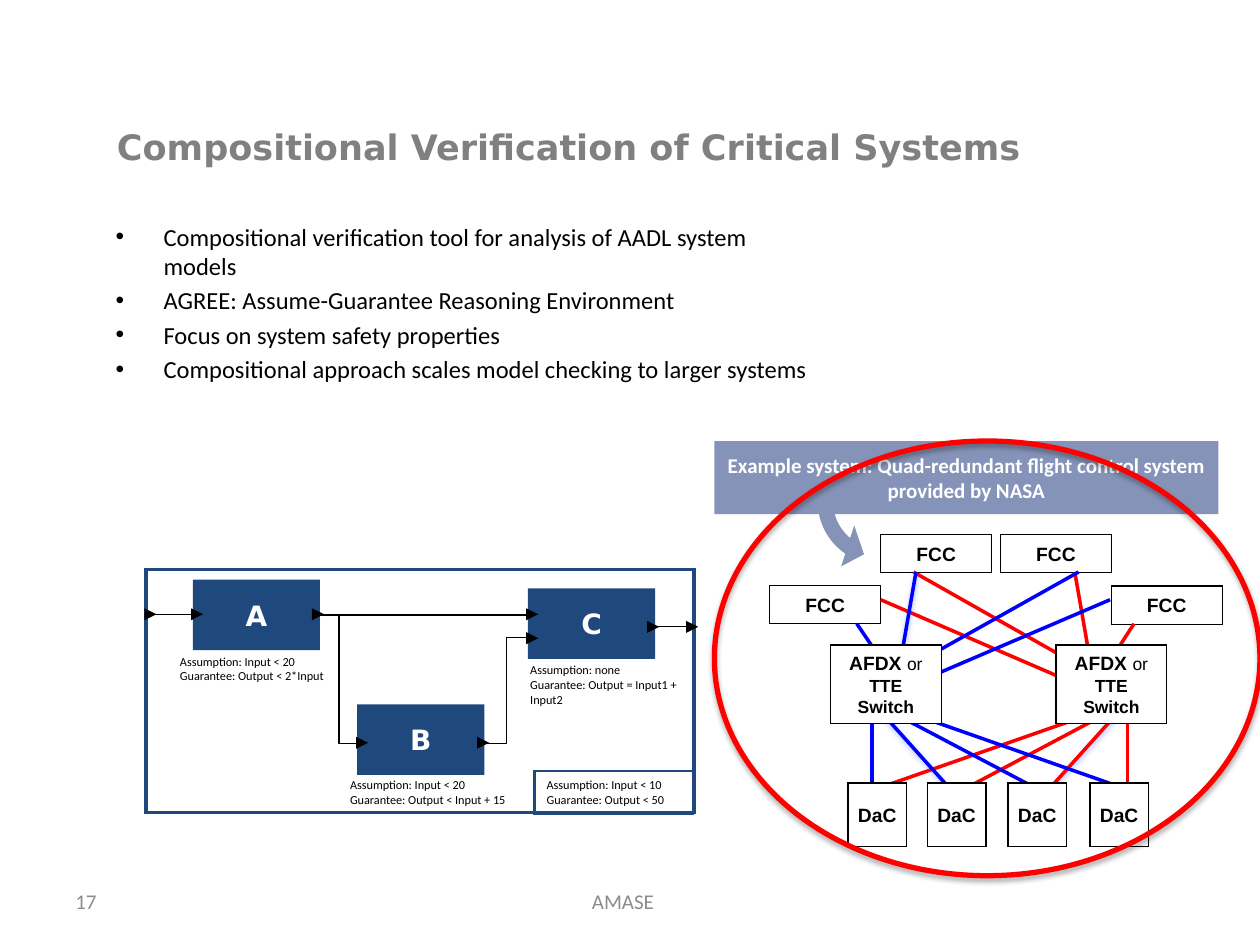
from lxml import etree
from pptx import Presentation
from pptx.dml.color import RGBColor
from pptx.enum.shapes import MSO_CONNECTOR, MSO_SHAPE
from pptx.enum.text import MSO_ANCHOR, PP_ALIGN
from pptx.oxml.ns import qn
from pptx.util import Inches, Pt

RECT, OVAL = MSO_SHAPE.RECTANGLE, MSO_SHAPE.OVAL
PORT, CURVE = MSO_SHAPE.ISOSCELES_TRIANGLE, MSO_SHAPE.CIRCULAR_ARROW
LINE, BENT = MSO_CONNECTOR.STRAIGHT, MSO_CONNECTOR.ELBOW
LEFT, MID = PP_ALIGN.LEFT, PP_ALIGN.CENTER
TOP, CENTER = MSO_ANCHOR.TOP, MSO_ANCHOR.MIDDLE
COLS, ROWS = 1000, 750
CELL = Inches(10) // COLS
NAVY, SLATE, GRAY = "1F497D", "8693B8", "8C8C8C"
RED, BLUE, BLACK, WHITE = "FF0000", "0000FF", "000000", "FFFFFF"
SANS, BODY, ARIAL = "DejaVu Sans", "Calibri", "Arial"


def color(code):
    return RGBColor.from_string(code)


def place(box, x, y, w, h):
    return [int(n * CELL) for n in (box[0] + x, box[1] + y, w, h)]


def write(shape, paras, size, font, tint, bold=False, align=LEFT, anchor=TOP, side=10):
    frame = shape.text_frame
    frame.word_wrap = True
    frame.vertical_anchor = anchor
    frame.margin_left = frame.margin_right = side * CELL
    frame.margin_top = frame.margin_bottom = 5 * CELL
    for i, runs in enumerate(paras):
        para = frame.paragraphs[0] if i == 0 else frame.add_paragraph()
        para.alignment = align
        for part in [(runs,)] if isinstance(runs, str) else runs:
            text, points, heavy = part if len(part) == 3 else (part[0], size, bold)
            run = para.add_run()
            run.text = text
            run.font.size, run.font.bold = Pt(points), heavy
            run.font.name = font
            run.font.color.rgb = color(tint)
    return frame


def label(slide, box, paras, size=7, font=BODY, tint=BLACK, **style):
    shape = slide.shapes.add_textbox(*place(box, 0, 0, *box[2:]))
    return write(shape, paras, size, font, tint, **style)


def draw(slide, kind, spot, fill=None, edge=None, width=0.75):
    shape = slide.shapes.add_shape(kind, *spot)
    shape.shadow.inherit = False
    if fill:
        shape.fill.solid()
        shape.fill.fore_color.rgb = color(fill)
    else:
        shape.fill.background()
    if edge:
        shape.line.color.rgb = color(edge)
        shape.line.width = Pt(width)
        stroke = shape._element.spPr.find(qn("a:ln"))
        etree.SubElement(stroke, qn("a:miter"), lim="800000")
    else:
        shape.line.fill.background()
    return shape


def shade(props, tint, alpha, blur, dist):
    effect = props.find(qn("a:effectLst"))
    glow = etree.SubElement(effect, qn("a:outerShdw"), blurRad=str(Pt(blur)),
                            dist=str(Pt(dist)), dir="5400000", rotWithShape="0")
    hue = etree.SubElement(glow, qn("a:srgbClr"), val=tint)
    etree.SubElement(hue, qn("a:alpha"), val=str(alpha * 1000))


def link(slide, box, ends, tint=BLACK, width=0.75, kind=LINE, soft=False):
    start, stop = place(box, *ends[:2], 0, 0)[:2], place(box, *ends[2:], 0, 0)[:2]
    line = slide.shapes.add_connector(kind, *start, *stop)
    line.line.color.rgb = color(tint)
    line.line.width = Pt(width)
    props = line._element.spPr
    etree.SubElement(props, qn("a:effectLst"))
    if soft:
        shade(props, "3366FF", 38, 3.1, 1.6)


def points(slide, box):
    items = ["Compositional verification tool for analysis of AADL system models",
             "AGREE: Assume-Guarantee Reasoning Environment",
             "Focus on system safety properties",
             "Compositional approach scales model checking to larger systems"]
    frame = label(slide, box, items, 14)
    for i, para in enumerate(frame.paragraphs):
        props = para._p.get_or_add_pPr()
        props.set("marL", str(38 * CELL))
        props.set("indent", str(-38 * CELL))
        etree.SubElement(props, qn("a:buFont"), typeface=ARIAL)
        etree.SubElement(props, qn("a:buChar"), char="•")
        if i:
            para.space_before = Pt(2.8)


def model(slide, box):
    draw(slide, RECT, place(box, 0, 0, *box[2:]), WHITE, NAVY, 2)
    wires = [((5, 35.5, 37, 35.5), LINE), ((138, 36, 168, 138), BENT),
             ((269, 138, 303, 54), BENT), ((138, 36, 303, 36), LINE),
             ((404, 45, 430, 45), LINE)]
    for ends, kind in wires:
        link(slide, box, ends, kind=kind)
    for name, x, y in [("A", 37, 8), ("B", 167.5, 107), ("C", 303, 15)]:
        block = draw(slide, RECT, place(box, x, y, 101, 56), NAVY)
        write(block, [name], 16, SANS, WHITE, True, MID, CENTER)
    ports = [(0, 33), (37, 33), (133, 33), (168, 135), (264, 135),
             (303, 52), (303, 33), (399, 43), (430, 43)]
    for x, y in ports:
        draw(slide, PORT, place(box, x, y, 5, 5), BLACK, BLACK, 2).rotation = 90
    notes = [(17, 62, 148, 34, "Input < 20", "Output < 2*Input"),
             (152, 160, 158, 34, "Input < 20", "Output < Input + 15"),
             (295, 69, 139, 45, "none", "Output = Input1 + Input2"),
             (308, 160, 126, 34, "Input < 10", "Output < 50")]
    draw(slide, RECT, place(box, *notes[-1][:4]), None, NAVY, 1.5)
    for x, y, w, h, need, give in notes:
        label(slide, (box[0] + x, box[1] + y, w, h),
              ["Assumption: " + need, "Guarantee: " + give])


def node(slide, spot, paras, fill=None, side=0):
    shape = draw(slide, RECT, spot, fill, BLACK)
    write(shape, paras, 11, ARIAL, BLACK, True, MID, CENTER, side)


def flight(slide, box):
    low = [(82, 203, 251, 144, RED), (153, 203, 264, 144, RED),
           (221, 203, 274, 144, RED), (284, 210, 284, 143, RED),
           (282, 202, 114, 143, BLUE), (212, 202, 100, 143, BLUE),
           (143, 202, 90, 143, BLUE), (81, 209, 81, 143, BLUE)]
    high = [(88, 52, 227, 112, RED), (114, 30, 236, 99, RED),
            (242, 30, 254, 99, RED), (289, 71, 271, 99, RED),
            (270, 52, 132, 111, BLUE), (245, 30, 122, 99, BLUE),
            (116, 30, 104, 99, BLUE), (69, 71, 88, 99, BLUE)]
    soft = (low[2], low[6], high[6])
    for wire in low:
        link(slide, box, wire[:4], wire[4], 2, soft=wire in soft)
    for x, y in [(88, 0), (183, 0), (0, 40.5), (271, 41)]:
        node(slide, place(box, x, y, 88, 30.5), ["FCC"], side=10)
    for x in (62, 125, 189, 254):
        node(slide, place(box, x, 197.5, 46.5, 50.5), ["DaC"], WHITE)
    for wire in high:
        link(slide, box, wire[:4], wire[4], 2, soft=wire in soft)
    for x in (227, 48):
        node(slide, place(box, x, 88, 88, 62),
             [[("AFDX ", 11, True), ("or", 10, False)],
              [("TTE", 10, True)], [("Switch", 10, True)]], WHITE)


def callout(slide, box):
    banner = draw(slide, RECT, place(box, 0, 0, 400, 58), SLATE)
    write(banner, ["Example system: Quad-redundant flight control system provided by NASA"],
          12, BODY, WHITE, True, MID, CENTER)
    arrow = draw(slide, CURVE, place(box, 71, -13, 122, 122), SLATE)
    for i, value in enumerate((0.1, 11.42, 186.24, 156.45, 0.14)):
        arrow.adjustments[i] = value
    arrow.rotation = 257
    arrow._element.spPr.xfrm.set("flipH", "1")
    ring = draw(slide, OVAL, place(box, 0, 0, *box[2:]), None, RED, 3)
    shade(ring._element.spPr, BLACK, 35, 3.1, 1.8)


def footer(slide, box):
    x, y, w, h = box
    label(slide, (x, y, 233, h), ["17"], 12, tint=GRAY, anchor=CENTER)
    label(slide, (x + 286, y, 317, h), ["AMASE"], 12, tint=GRAY, align=MID, anchor=CENTER)


def main():
    deck = Presentation()
    deck.slide_width, deck.slide_height = COLS * CELL, ROWS * CELL
    slide = deck.slides.add_slide(deck.slide_layouts[6])
    points(slide, (82, 171, 580, 417))
    label(slide, (83, 95, 850, 50), ["Compositional Verification of Critical Systems"],
          20, SANS, "808080", bold=True)
    model(slide, (116, 452, 435, 193))
    flight(slide, (611, 424, 359, 248))
    callout(slide, (567, 350, 433, 345))
    footer(slide, (50, 695, 900, 40))
    deck.save("out.pptx")


if __name__ == "__main__":
    main()
